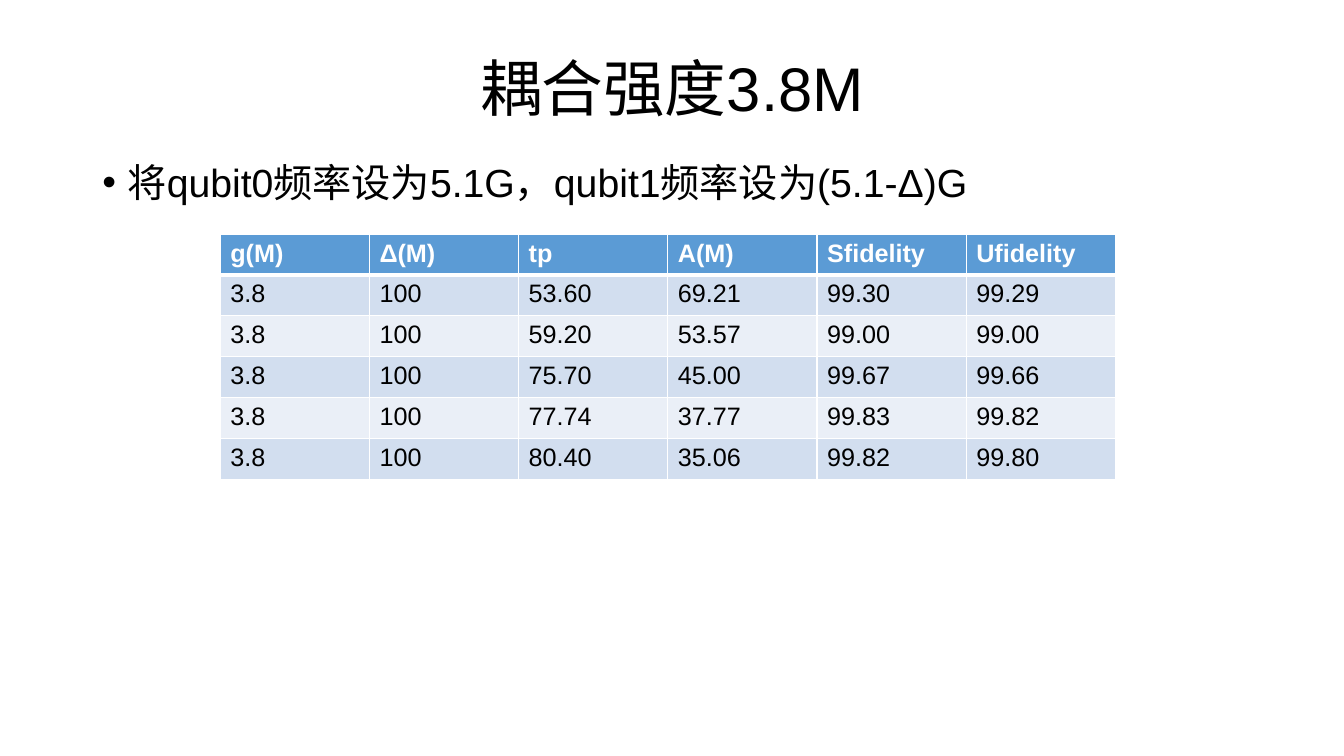
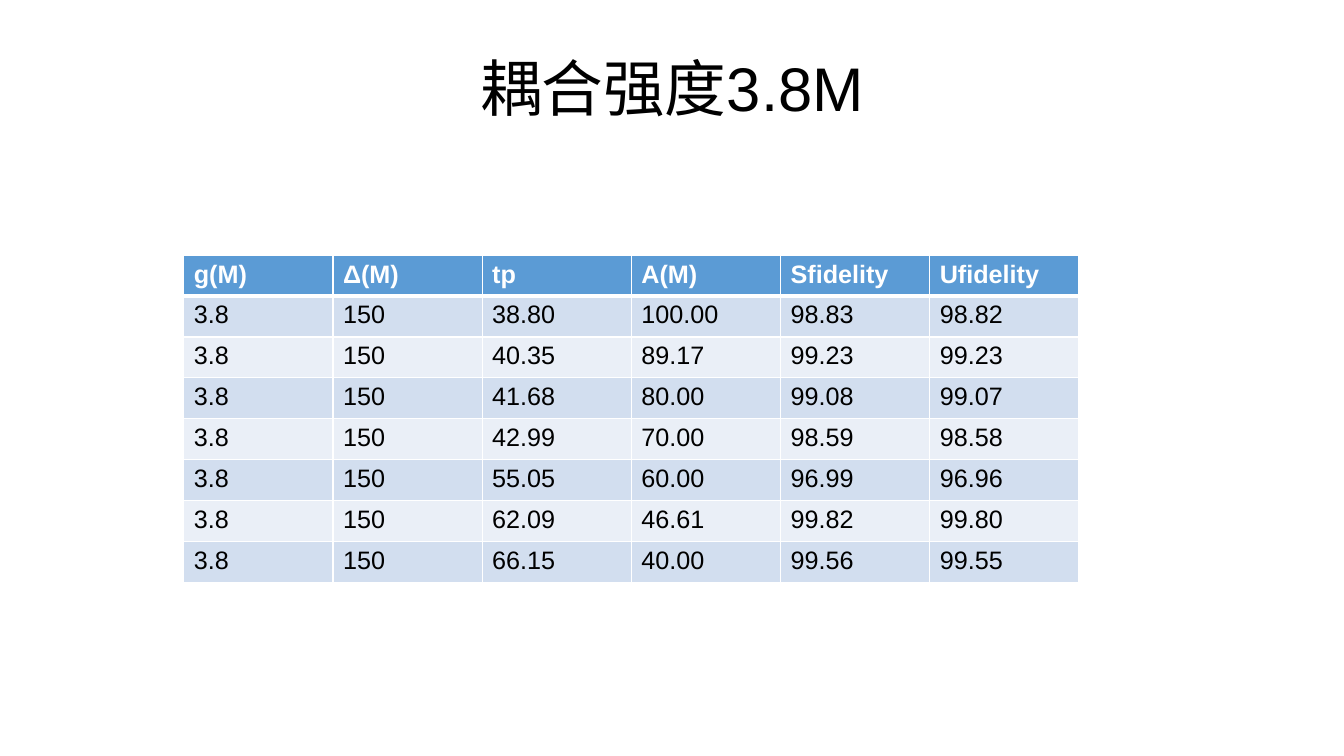
from lxml.etree import SubElement
from pptx import Presentation
from pptx.dml.color import RGBColor
from pptx.enum.text import MSO_ANCHOR, PP_ALIGN
from pptx.oxml.ns import qn
from pptx.util import Cm, Pt

COLORS = {
    "text": "000000",
    "white": "FFFFFF",
    "head": "5B9BD5",
    "odd": "D2DEEF",
    "even": "EAEFF7",
}
FONT = "Arial"
HEADS = ["g(M)", "Δ(M)", "tp", "A(M)", "Sfidelity", "Ufidelity"]
TITLE = "耦合强度3.8M"


def color(name):
    return RGBColor.from_string(COLORS[name])


def write(frame, text, size=18, tint="text", bold=False, align=None,
          lines=None, bullet=None):
    """Fill the first paragraph of a frame with formatted text."""
    para = frame.paragraphs[0]
    if bullet:
        props = para._p.get_or_add_pPr()
        props.set("marL", str(Cm(0.64)))
        props.set("indent", str(-Cm(0.64)))
        SubElement(props, qn("a:buFont"), typeface=FONT)
        SubElement(props, qn("a:buChar"), char=bullet)
    if align is not None:
        para.alignment = align
    if lines:
        para.line_spacing = lines
    run = para.add_run()
    run.text = text
    font = run.font
    font.name, font.size, font.bold = FONT, Pt(size), bold
    font.color.rgb = color(tint)


def border(cell, **widths):
    """Draw white cell edges; widths in points, keyed L, R, T, B."""
    props = cell._tc.get_or_add_tcPr()
    for side, width in widths.items():
        line = SubElement(props, qn(f"a:ln{side}"), w=str(Pt(width)))
        fill = SubElement(line, qn("a:solidFill"))
        SubElement(fill, qn("a:srgbClr"), val=COLORS["white"])


class Deck:
    left, width = Cm(2.33), Cm(29.21)
    col, row = Cm(3.76), Cm(1.03)

    def __init__(self):
        self.prs = Presentation()
        self.prs.slide_width, self.prs.slide_height = Cm(33.87), Cm(19.05)
        self.slide = None

    def page(self, title):
        self.slide = self.prs.slides.add_slide(self.prs.slide_layouts[6])
        self.text(title, Cm(1.02), Cm(2.57), MSO_ANCHOR.MIDDLE,
                  size=44, align=PP_ALIGN.CENTER)

    def text(self, text, top, height, anchor=MSO_ANCHOR.TOP, **style):
        box = self.slide.shapes.add_textbox(self.left, top, self.width, height)
        frame = box.text_frame
        frame.word_wrap = True
        frame.vertical_anchor = anchor
        write(frame, text, lines=0.9, **style)

    def point(self, text):
        self.text(text, Cm(3.99), Cm(13.18), size=28, bullet="•")

    def table(self, left, top, rows):
        rows = [HEADS, *rows]
        count = len(HEADS)
        grid = self.slide.shapes.add_table(
            len(rows), count, left, top,
            self.col * count, self.row * len(rows)).table
        grid.horz_banding = False
        for col in grid.columns:
            col.width = self.col
        for r, values in enumerate(rows):
            grid.rows[r].height = self.row
            head = r == 0
            band = "head" if head else "odd" if r % 2 else "even"
            for c, value in enumerate(values):
                cell = grid.cell(r, c)
                # The rule under the header is thicker
                border(cell, L=1, R=1, T=3 if r == 1 else 1, B=3 if head else 1)
                cell.fill.solid()
                cell.fill.fore_color.rgb = color(band)
                write(cell.text_frame, value, bold=head,
                      tint="white" if head else "text")


def series(delta, *runs):
    """Put the shared coupling and detuning before each run's results."""
    return [["3.8", delta, *run.split()] for run in runs]


def main():
    deck = Deck()

    # Detuning 100 M
    deck.page(TITLE)
    deck.point("将qubit0频率设为5.1G，qubit1频率设为(5.1-Δ)G")
    deck.table(Cm(5.55), Cm(5.9), series(
        "100",
        "53.60 69.21 99.30 99.29",
        "59.20 53.57 99.00 99.00",
        "75.70 45.00 99.67 99.66",
        "77.74 37.77 99.83 99.82",
        "80.40 35.06 99.82 99.80",
    ))

    # Detuning 150 M
    deck.page(TITLE)
    deck.table(Cm(4.63), Cm(6.43), series(
        "150",
        "38.80 100.00 98.83 98.82",
        "40.35 89.17 99.23 99.23",
        "41.68 80.00 99.08 99.07",
        "42.99 70.00 98.59 98.58",
        "55.05 60.00 96.99 96.96",
        "62.09 46.61 99.82 99.80",
        "66.15 40.00 99.56 99.55",
    ))

    deck.prs.save("out.pptx")


if __name__ == "__main__":
    main()
